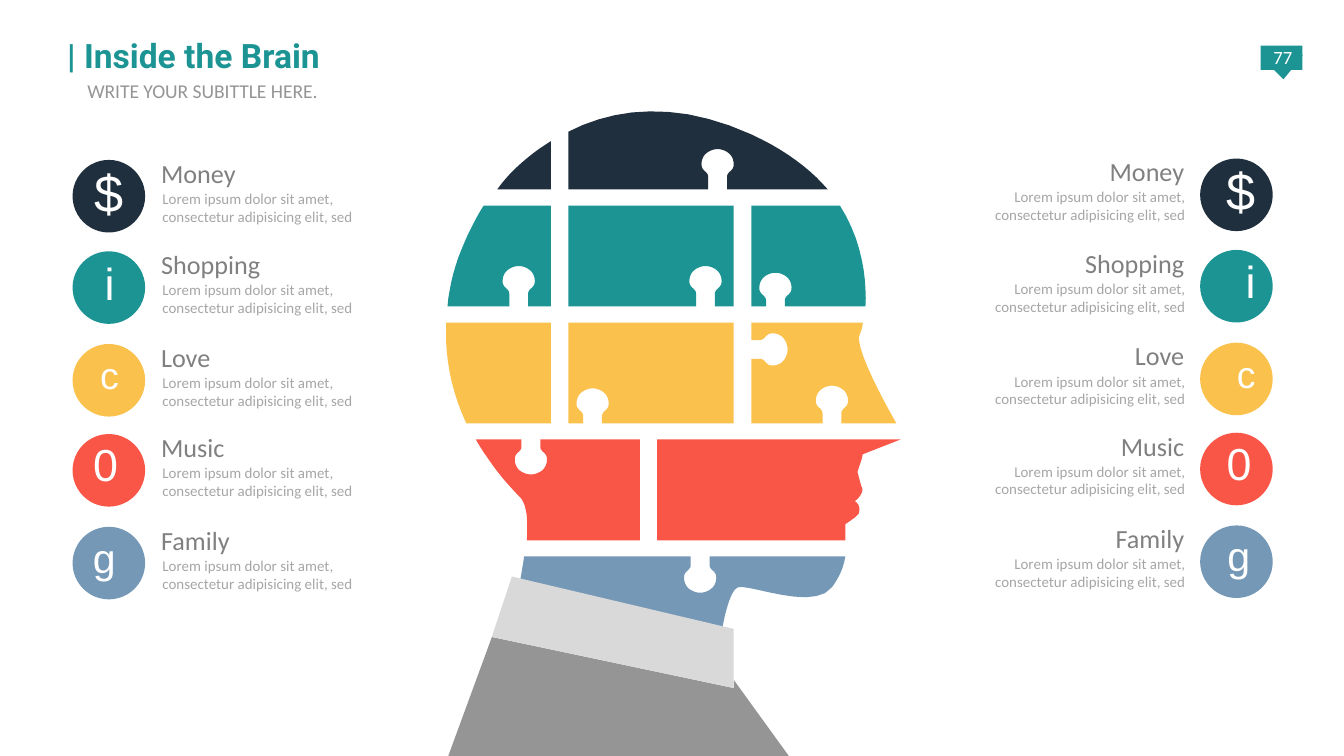
from dataclasses import dataclass

from pptx import Presentation
from pptx import util as u
from pptx.dml.color import RGBColor
from pptx.enum import shapes, text


@dataclass(frozen=True)
class Theme:
    navy: str = "202F3D"
    teal: str = "1C9494"
    yellow: str = "FAC14D"
    red: str = "F95647"
    blue: str = "7698B7"
    coat: str = "959596"
    collar: str = "D9D9D9"
    heading: str = "808080"
    body: str = "A6A6A6"
    white: str = "FFFFFF"
    title_font: str = "Roboto"
    text_font: str = "Calibri"
    icon_font: str = "Arial"
    title_size: float = 18
    subtitle_size: float = 10.5
    heading_size: float = 14
    body_size: float = 8
    page_size: float = 10


THEME = Theme()
WIDTH = 10
HEIGHT = WIDTH * 9 / 16
LEFT, CENTER, RIGHT = text.PP_ALIGN.LEFT, text.PP_ALIGN.CENTER, text.PP_ALIGN.RIGHT
EASTWARD, WESTWARD, SOUTHWARD = (1, 0), (-1, 0), (0, 1)
CURVE_STEPS = 10
UNITS_PER_INCH = 1000

ROW_PITCH, ROW_HEIGHT = 0.87, 0.75
TOPS = [0.66 + ROW_PITCH * row for row in range(5)]
BOTTOMS = [top + ROW_HEIGHT for top in TOPS]
BACK_END, MIDDLE_START, MIDDLE_END, FACE_START = 4.1, 4.23, 5.46, 5.59

CIRCLE, ICON_WIDTH, TEXT_WIDTH = 0.54, 0.47, 1.89
BODY = "Lorem ipsum dolor sit amet, consectetur adipisicing elit, sed"
ITEMS = [
    (1.19, "Money", "$", 28, THEME.navy, 0.04, -0.05),
    (1.87, "Shopping", "i", 24, THEME.teal, 0.04, -0.02),
    (2.56, "Love", "c", 20, THEME.yellow, 0.04, 0.01),
    (3.23, "Music", "0", 24, THEME.red, 0.01, -0.03),
    (3.92, "Family", "g", 22, THEME.blue, 0, -0.01),
]


def apply(target, values):
    for name, value in values.items():
        setattr(target, name, value)


def paint(shape, color):
    shape.shadow.inherit = False
    shape.fill.solid()
    shape.fill.fore_color.rgb = RGBColor.from_string(color)
    shape.line.fill.background()


def add_preset(slide, kind, box, color, rotation=0):
    shape = slide.shapes.add_shape(kind, *map(u.Inches, box))
    shape.rotation = rotation
    paint(shape, color)


def add_label(slide, box, words, size, color, font=THEME.text_font, align=LEFT,
              bold=False, insets=(0.1, 0.05, 0.1, 0.05), **frame_values):
    frame = slide.shapes.add_textbox(*map(u.Inches, box)).text_frame
    sides = ("margin_left", "margin_top", "margin_right", "margin_bottom")
    apply(frame, dict(zip(sides, map(u.Inches, insets))))
    apply(frame, {"word_wrap": True, **frame_values})
    paragraph = frame.paragraphs[0]
    apply(paragraph, {"text": words, "alignment": align})
    apply(paragraph.font, {"name": font, "size": u.Pt(size), "bold": bold})
    paragraph.font.color.rgb = RGBColor.from_string(color)


def knob(x, y, depth, heading=EASTWARD):
    neck, radius = 0.07, 0.12
    shoulder, waist = depth - 0.21, depth - 0.11
    local = [
        (-neck, 0), (-neck, shoulder),
        (-neck, shoulder + 0.05, -radius, waist - 0.06, -radius, waist),
        (-radius, depth - 0.04, -0.06, depth, 0, depth),
        (0.06, depth, radius, depth - 0.04, radius, waist),
        (radius, waist - 0.06, neck, shoulder + 0.05, neck, shoulder),
        (neck, 0),
    ]
    a, b = heading
    return [
        tuple(value for along, inward in zip(step[::2], step[1::2])
              for value in (x + a * along + b * inward, y + b * along - a * inward))
        for step in local
    ]


def flatten(outline):
    points = []
    for step in outline:
        if len(step) == 2:
            points.append(step)
            continue
        controls = [points[-1], step[:2], step[2:4], step[4:]]
        for index in range(1, CURVE_STEPS + 1):
            t = index / CURVE_STEPS
            weights = ((1 - t) ** 3, 3 * t * (1 - t) ** 2, 3 * t * t * (1 - t), t ** 3)
            points.append(tuple(
                sum(weight * control[axis] for weight, control in zip(weights, controls))
                for axis in (0, 1)))
    return points


def add_outline(slide, color, outline):
    points = [(x * UNITS_PER_INCH, y * UNITS_PER_INCH) for x, y in flatten(outline)]
    builder = slide.shapes.build_freeform(*points[0], scale=u.Inches(1) / UNITS_PER_INCH)
    builder.add_line_segments(points[1:], close=True)
    paint(builder.convert_to_shape(), color)


def block(left, right, row, bottom_knob):
    return [(left, TOPS[row]), (left, BOTTOMS[row]), *bottom_knob,
            (right, BOTTOMS[row]), (right, TOPS[row])]


def head_pieces():
    crown, brow, eyes, mouth, _ = BOTTOMS
    _, brow_top, eyes_top, mouth_top, jaw_top = TOPS
    return [
        (THEME.blue, [(3.9, jaw_top), (3.88, 4.29, 3.85, 4.42, 3.85, 4.42), (5.36, 4.76),
                      (5.36, 4.76, 5.41, 4.4, 5.49, 4.37),
                      (5.57, 4.34, 6.05, 4.55, 6.19, 4.37),
                      (6.25, 4.29, 6.28, 4.21, 6.29, jaw_top),
                      *knob(5.21, jaw_top, 0.27, WESTWARD)]),
        (THEME.teal, [(FACE_START, brow_top), (FACE_START, brow),
                      *knob(5.77, brow, 0.25), (6.44, brow),
                      (6.45, 2.08, 6.42, 1.8, 6.25, brow_top)]),
        (THEME.yellow, block(MIDDLE_START, MIDDLE_END, 2, knob(4.41, eyes, 0.26))),
        (THEME.red, [(3.54, mouth_top), (3.63, 3.42, 3.73, 3.56, 3.87, 3.7),
                     (3.92, 3.75, 3.93, 3.88, 3.92, mouth), (4.76, mouth),
                     (4.76, mouth_top), *knob(3.95, mouth_top, 0.26, WESTWARD)]),
        (THEME.navy, [(MIDDLE_START, 0.98), (MIDDLE_START, crown),
                      *knob(5.34, crown, 0.3), (6.16, crown),
                      (6.03, 1.26, 5.85, 1.12, 5.59, 1),
                      (5.04, 0.75, 4.58, 0.8, MIDDLE_START, 0.98)]),
        (THEME.teal, block(MIDDLE_START, MIDDLE_END, 1, knob(5.25, brow, 0.3))),
        (THEME.red, [(4.89, mouth_top), (4.89, mouth), (6.29, mouth), (6.29, 3.9),
                     (6.29, 3.9, 6.37, 3.85, 6.39, 3.82),
                     (6.41, 3.75, 6.36, 3.73, 6.36, 3.73),
                     (6.36, 3.73, 6.44, 3.67, 6.41, 3.62),
                     (6.4, 3.59, 6.38, 3.51, 6.38, 3.51),
                     (6.41, 3.42), (6.42, 3.38), (6.7, mouth_top)]),
        (THEME.yellow, [(BACK_END, eyes_top), (3.32, eyes_top),
                        (3.31, 2.64, 3.35, 2.89, 3.47, eyes), (BACK_END, eyes)]),
        (THEME.navy, [(BACK_END, 1.05), (3.94, 1.15, 3.8, 1.27, 3.7, crown),
                      (BACK_END, crown)]),
        (THEME.coat, [(3.33, 5.64), (3.66, 4.74), (5.46, 5.12), (5.46, 5.06), (5.88, 5.64)]),
        (THEME.collar, [(5.46, 5.12), (3.66, 4.74), (3.81, 4.29), (5.46, 4.68)]),
        (THEME.yellow, [(FACE_START, eyes_top), *knob(FACE_START, 2.6, 0.27, SOUTHWARD),
                        (FACE_START, eyes), *knob(6.19, eyes, 0.28), (6.67, eyes),
                        (6.67, eyes, 6.4, 2.69, 6.39, 2.52),
                        (6.39, 2.49, 6.41, 2.48, 6.42, eyes_top)]),
        (THEME.teal, [(BACK_END, brow_top), (3.6, brow_top),
                      (3.56, 1.59, 3.53, 1.65, 3.5, 1.71),
                      (3.42, 1.87, 3.35, 2.06, 3.33, brow),
                      *knob(3.86, brow, 0.3), (BACK_END, brow)]),
    ]


def add_items(slide, circle_left, text_left, align, icon_align, lift=0):
    fit = {"auto_size": text.MSO_AUTO_SIZE.SHAPE_TO_FIT_TEXT}
    for item_top, name, icon, size, color, shift, drop in ITEMS:
        top = item_top - lift
        add_label(slide, (text_left, top - 0.07, TEXT_WIDTH, 0.34), name,
                  THEME.heading_size, THEME.heading, align=align, **fit)
        add_label(slide, (text_left + 0.01, top + 0.17, TEXT_WIDTH, 0.34), BODY,
                  THEME.body_size, THEME.body, align=align, **fit)
        add_preset(slide, shapes.MSO_SHAPE.OVAL, (circle_left, top, CIRCLE, CIRCLE), color)
        add_label(slide, (circle_left + shift, top + drop, ICON_WIDTH, size / 60 + 0.1), icon,
                  size, THEME.white, THEME.icon_font, icon_align, **fit)


def add_page_badge(slide):
    add_preset(slide, shapes.MSO_SHAPE.RECTANGLE, (9.38, 0.34, 0.31, 0.18), THEME.teal)
    add_preset(slide, shapes.MSO_SHAPE.ISOSCELES_TRIANGLE, (9.39, 0.42, 0.31, 0.17),
               THEME.teal, 176.8)
    add_label(slide, (9.4, 0.3, 0.29, 0.3), "77", THEME.page_size, THEME.white,
              align=CENTER, insets=(0, 0, 0, 0.05), vertical_anchor=text.MSO_ANCHOR.MIDDLE)


def add_titles(slide):
    insets = (0, 0, 0.1, 0)
    add_label(slide, (0.5, 0.26, 7.51, 0.4), "| Inside the Brain", THEME.title_size,
              THEME.teal, THEME.title_font, bold=True, insets=insets)
    add_label(slide, (0.65, 0.59, 7.34, 0.29), "WRITE YOUR SUBITTLE HERE.",
              THEME.subtitle_size, THEME.coat, insets=insets)


def main():
    presentation = Presentation()
    apply(presentation, {"slide_width": u.Inches(WIDTH), "slide_height": u.Inches(HEIGHT)})
    slide = presentation.slides.add_slide(presentation.slide_layouts[6])
    add_page_badge(slide)
    for color, outline in head_pieces():
        add_outline(slide, color, outline)
    add_items(slide, 0.54, 1.1, LEFT, CENTER)
    add_items(slide, 8.93, 7.02, RIGHT, RIGHT, lift=0.01)
    add_titles(slide)
    presentation.save("out.pptx")


if __name__ == "__main__":
    main()
